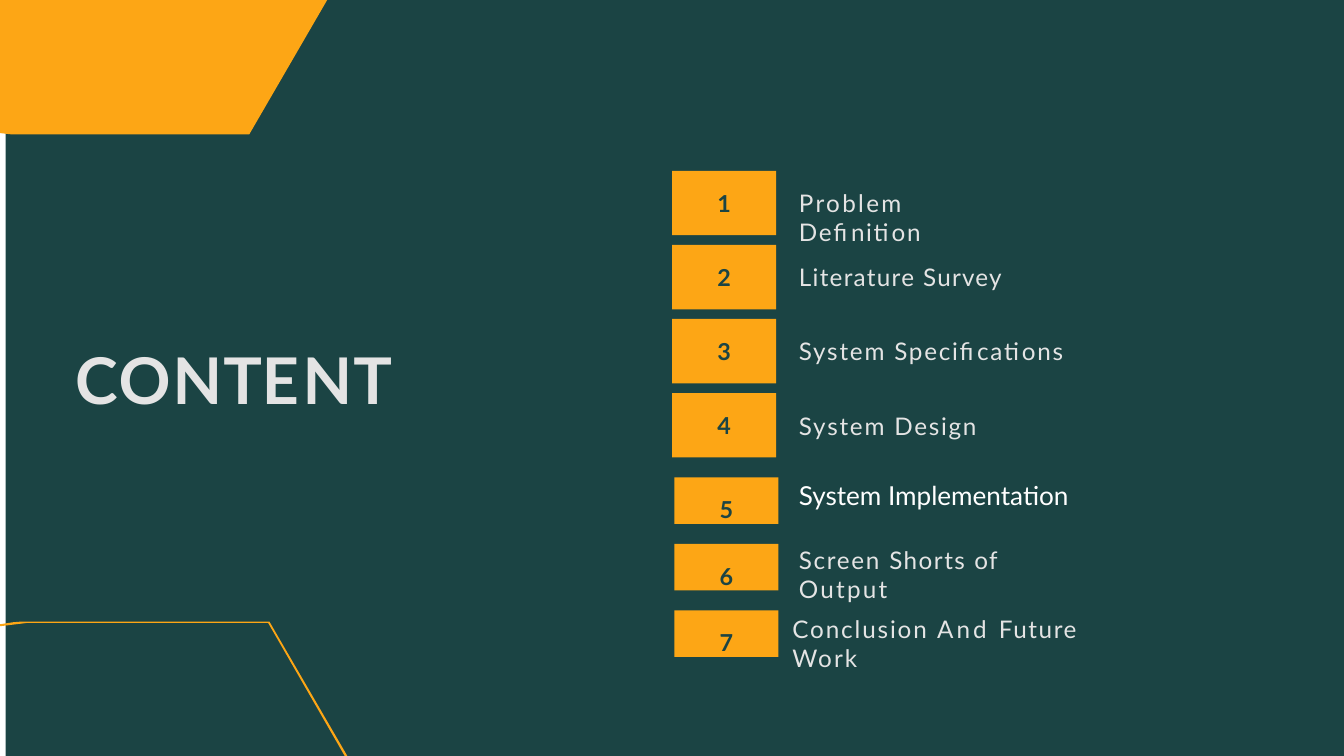
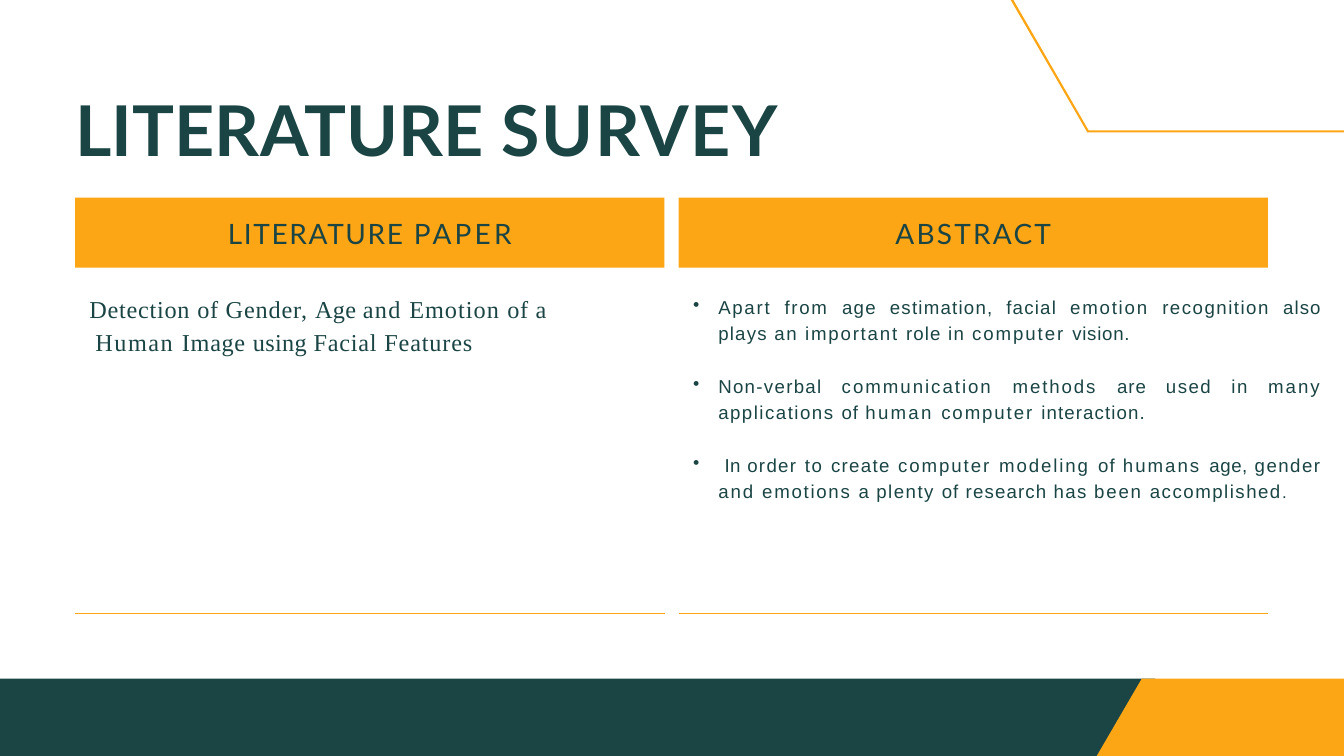
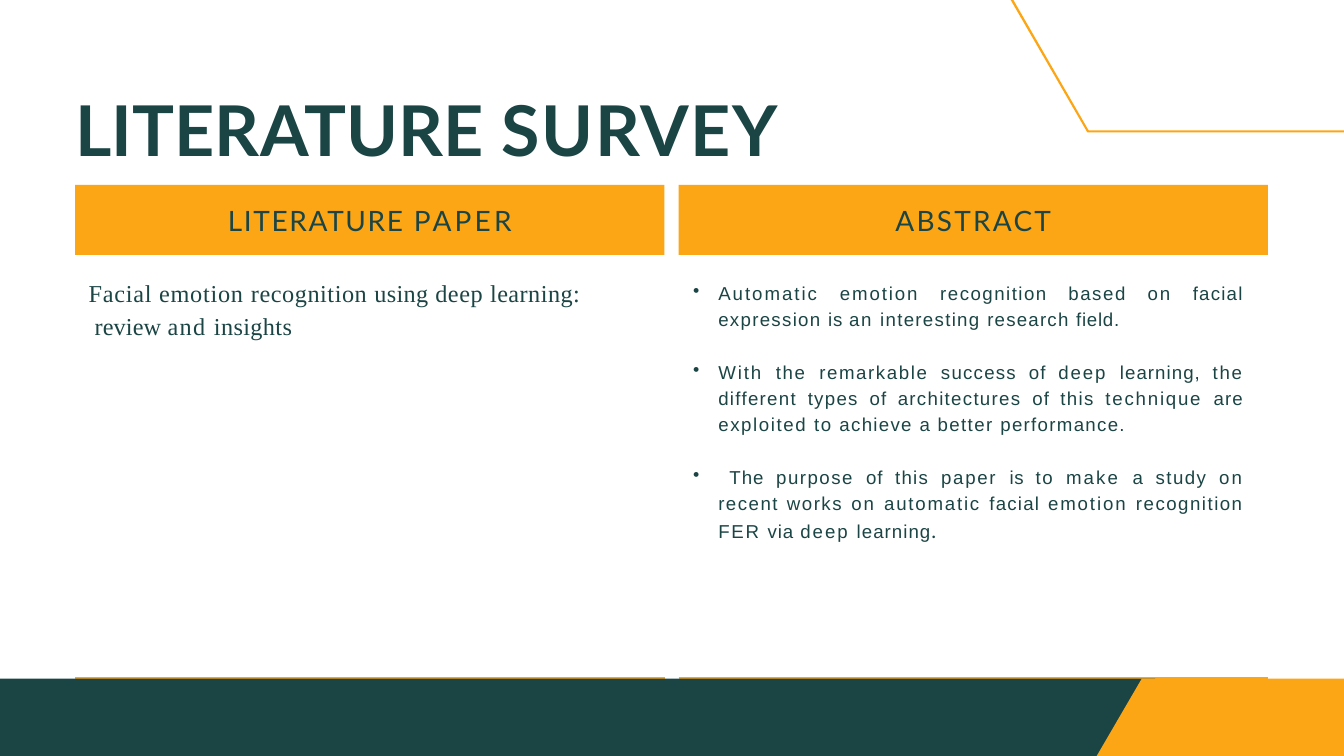
from dataclasses import dataclass
from typing import NamedTuple, Optional, Sequence

from lxml.etree import SubElement
from pptx import Presentation
from pptx.dml.color import RGBColor
from pptx.enum.shapes import MSO_CONNECTOR as Connector, MSO_SHAPE as Preset
from pptx.enum.text import MSO_ANCHOR as Anchor, PP_ALIGN as Align
from pptx.oxml.ns import qn
from pptx.util import Pt

GREEN = "1B4444"
ORANGE = "FDA615"
LIGHT = "E4E4E4"
WHITE = "FFFFFF"
SLIDE_WIDTH, SLIDE_HEIGHT = 1440, 810
FOOTER_TOP = 727.2
COLUMN_LEFTS = (80.6, 727.2)
COLUMN_WIDTH = 631.4

Point = tuple[float, float]


class Box(NamedTuple):
    """A rectangle in points."""

    left: float
    top: float
    width: float
    height: float


class Run(NamedTuple):
    """Text with its letter spacing and any departure from its paragraph's font."""

    text: str
    spacing: float = 0
    size: Optional[float] = None
    font: Optional[str] = None


@dataclass(frozen=True)
class TextStyle:
    """The look of a paragraph."""

    size: float
    color: str
    font: str = "Lato"
    bold: bool = False
    align: Align = Align.LEFT
    line_spacing: float = 1.0
    margin: float = 0
    indent: float = 0
    bullet: bool = False
    gap: float = 0


@dataclass(frozen=True)
class Topic:
    """A numbered line of the contents."""

    number: Run
    tile: Box
    label: Box
    runs: Sequence[Run]
    style: TextStyle


@dataclass(frozen=True)
class Survey:
    """A surveyed paper with its abstract."""

    header_top: float
    divider_top: float
    paper_box: Box
    paper: Sequence[Run]
    abstract_box: Box
    abstract: Sequence[Sequence[Run]]


TILE_STYLE = TextStyle(25, GREEN, bold=True, align=Align.CENTER)
LABEL_STYLE = TextStyle(26, LIGHT)
CONTENT_STYLE = TextStyle(69, LIGHT, bold=True)
TITLE_STYLE = TextStyle(75, GREEN, bold=True)
HEADER_STYLE = TextStyle(30, GREEN, align=Align.CENTER)
PAPER_STYLE = TextStyle(26, GREEN, "Times New Roman", line_spacing=1.15, margin=6.5, indent=-6.5)
ABSTRACT_STYLE = TextStyle(20, GREEN, "Arial", align=Align.JUSTIFY, line_spacing=1.16,
                           margin=28, indent=-27, bullet=True, gap=29)

CORNER_BLOCK = [(0, 0), (350.6, 0), (267.1, 144), (12.2, 144), (0, 142.6)]
CORNER_LINE = [(0, 668.9), (14.4, 666.7), (23, 666), (288.7, 666), (372.2, 810),
               (369.4, 810), (287.3, 667.4), (29.5, 667.4), (0, 671)]
TOP_LINE = [(1165, 141.8), (1440, 141.8), (1440, 139.7), (1166.4, 139.7),
            (1085.8, 0), (1082.9, 0)]
FOOTER_ACCENT = [(1440, 810), (1175, 810), (1223.3, FOOTER_TOP), (1440, FOOTER_TOP)]


def tall_topic(row: int, number_spacing: float, width: float, *runs: Run) -> Topic:
    """Place one of the four upper topics."""
    top = 183 + 79.4 * row
    return Topic(Run(str(row + 1), number_spacing), Box(720, top, 111.6, 69),
                 Box(856, top + 18, width, 33), runs, LABEL_STYLE)


def short_topic(row: int, number_spacing: float, label: Box, *runs: Run,
                style: TextStyle = LABEL_STYLE) -> Topic:
    """Place one of the three lower topics."""
    return Topic(Run(str(row + 5), number_spacing), Box(722.5, 511.5 + 71.3 * row, 111.6, 49.7),
                 label, runs, style)


TOPICS = [
    tall_topic(0, -5.7, 248.4, Run("Problem ", 2.5), Run("Definition", 1.8)),
    tall_topic(1, -0.9, 220, Run("Literature ", 1.4), Run("Survey", 1.3)),
    tall_topic(2, -2, 285, Run("System ", 1.9), Run("Specifications", 1.8)),
    tall_topic(3, -0.1, 193, Run("System ", 1.9), Run("Design", 1.8)),
    short_topic(0, -0.1, Box(856, 513, 390, 34), Run("System Implementation"),
                style=TextStyle(28, WHITE)),
    short_topic(1, -1.1, Box(856, 583.2, 313.2, 33), Run("Screen ", 1.8), Run("Shorts ", 1.6),
                Run("of ", 1.4), Run("Output", 2.4)),
    short_topic(2, -0.1, Box(849, 657.4, 374.4, 33), Run("Conclusion ", 2), Run("And ", 3.2),
                Run("Future ", 1.7), Run("Work", 2.2)),
]

CONTENT_TITLE = [Run("CO", 2), Run("N", 1.1), Run("T", -0.1), Run("E", 4), Run("N", 1.1),
                 Run("T", -0.1)]
SURVEY_TITLE = [Run("LITERATURE ", 0.2), Run("SURVEY", 1.9)]
HEADERS = [[Run("LITERATURE ", 1.8), Run("PAPER", 3.5)], [Run("ABSTRACT", 2.4)]]

SURVEYS = [
    Survey(
        211.7, 657.4,
        Box(95.8, 309.6, 579.6, 74),
        [Run("Detection ", 0.8), Run("of ", 0.7), Run("Gender, ", 0.9), Run("Age ", 0.3),
         Run("and ", 1.4), Run("Emotion ", 1.1), Run("of ", 0.7), Run("a ", 1.4),
         Run("Human ", 1.6), Run("Image ", 0.7), Run("using ", 0.4), Run("Facial ", 0.8),
         Run("Features", 0.9)],
        Box(741.6, 311.8, 674.6, 230),
        [
            [Run("Apart from ", 1.8), Run("age ", 1.4), Run("estimation, facial ", 1.3),
             Run("emotion ", 1.9), Run("recognition ", 1.6), Run("also ", 1.2),
             Run("plays ", 1.3), Run("an ", 1.7), Run("important ", 1.9), Run("role ", 1.2),
             Run("in ", 1.6), Run("computer ", 2), Run("vision.", 0.8)],
            [Run("Non-verbal ", 1.4), Run("communication ", 2.1), Run("methods ", 2),
             Run("are ", 1.1), Run("used in ", 1.6), Run("many ", 2.1),
             Run("applications ", 1.6), Run("of ", 1.1), Run("human ", 2.4),
             Run("computer ", 2), Run("interaction.", 1.2)],
            [Run(" In ", 0.3), Run("order ", 1.4), Run("to ", 1.6), Run("create ", 1.4),
             Run("computer modeling ", 2), Run("of ", 1.1), Run("humans ", 2.1),
             Run("age, ", 0.6), Run("gender ", 1.6), Run("and ", 2), Run("emotions ", 1.8),
             Run("a ", 1.2), Run("plenty ", 1.6), Run("of ", 1.1), Run("research ", 1.2),
             Run("has ", 1.4), Run("been ", 1.9), Run("accomplished", 1.6),
             Run(".", 1.6, 18)],
        ],
    ),
    Survey(
        198, 726.5,
        Box(95, 292.3, 528.5, 74),
        [Run("Facial emotion ", 0.8), Run("recognition ", 0.6), Run("using ", 0.4),
         Run("deep ", 0.6), Run("learning: ", 0.5), Run("review ", 0.1), Run("and ", 1.4),
         Run("insights", 0.4)],
        Box(741.6, 297.4, 591, 288),
        [
            [Run("Automatic ", 2.1), Run("emotion ", 2), Run("recognition ", 1.6),
             Run("based ", 1.7), Run("on ", 2), Run("facial ", 1.3), Run("expression ", 1.4),
             Run("is ", 0.8), Run("an ", 1.8), Run("interesting ", 1.4),
             Run("research ", 1.3), Run("field.", 0.8)],
            [Run("With ", 2), Run("the ", 1.8), Run("remarkable ", 1.7), Run("success ", 1.3),
             Run("of ", 1.1), Run("deep ", 2), Run("learning, ", 1.1), Run("the ", 1.8),
             Run("different types ", 1.4), Run("of ", 1.1), Run("architectures ", 1.4),
             Run("of ", 1.1), Run("this ", 1.4), Run("technique ", 1.9), Run("are ", 1.1),
             Run("exploited ", 1.7), Run("to ", 1.6), Run("achieve ", 1.4), Run("a ", 1.3),
             Run("better ", 1.5), Run("performance.", 1.4)],
            [Run(" The ", 1.1), Run("purpose ", 1.6), Run("of ", 1.1), Run("this ", 1.4),
             Run("paper ", 1.8), Run("is ", 0.8), Run("to ", 1.6), Run("make ", 2.2),
             Run("a ", 1.3), Run("study ", 1.5), Run("on ", 2), Run("recent works ", 1.6),
             Run("on ", 2), Run("automatic ", 1.9), Run("facial ", 1.3), Run("emotion ", 2),
             Run("recognition ", 1.6), Run("FER ", 1.8), Run("via ", 1), Run("deep ", 2),
             Run("learning", 1.1), Run(".", 1.1, 22, "Lato")],
        ],
    ),
]


def rgb(color: str) -> RGBColor:
    """Turn a hex string into a colour."""
    return RGBColor.from_string(color)


def points(box: Box) -> list[Pt]:
    """Turn a box into lengths."""
    return [Pt(length) for length in box]


def paint(shape, color: str) -> None:
    """Give a shape a plain fill without line or shadow."""
    shape.fill.solid()
    shape.fill.fore_color.rgb = rgb(color)
    shape.line.fill.background()
    shape.shadow.inherit = False


def add_rectangle(slide, box: Box, color: str):
    """Draw a plain rectangle."""
    shape = slide.shapes.add_shape(Preset.RECTANGLE, *points(box))
    paint(shape, color)
    return shape


def add_outline(slide, corners: Sequence[Point], color: str) -> None:
    """Draw a filled polygon."""
    (left, top), *others = [(Pt(x), Pt(y)) for x, y in corners]
    builder = slide.shapes.build_freeform(left, top)
    builder.add_line_segments(others, close=True)
    paint(builder.convert_to_shape(), color)


def add_divider(slide, left: float, top: float) -> None:
    """Draw the rule below a column."""
    line = slide.shapes.add_connector(Connector.STRAIGHT, Pt(left), Pt(top),
                                      Pt(left + COLUMN_WIDTH), Pt(top))
    line.line.color.rgb = rgb(ORANGE)
    line.line.width = Pt(1.5)
    SubElement(line._element.spPr, qn("a:effectLst"))


def format_paragraph(paragraph, style: TextStyle) -> None:
    """Apply a style to a paragraph."""
    paragraph.alignment = style.align
    paragraph.line_spacing = style.line_spacing
    properties = paragraph._p.get_or_add_pPr()
    properties.set("marL", str(Pt(style.margin)))
    properties.set("indent", str(Pt(style.indent)))
    if style.bullet:
        SubElement(properties, qn("a:buChar"), char="•")
    font = paragraph.font
    font.name, font.size, font.bold = style.font, Pt(style.size), style.bold
    font.color.rgb = rgb(style.color)


def write(shape, paragraphs: Sequence[Sequence[Run]], style: TextStyle,
          top_inset: float = 1) -> None:
    """Fill a shape with paragraphs of tracked runs."""
    frame = shape.text_frame
    frame.word_wrap = True
    frame.vertical_anchor = Anchor.TOP
    frame.margin_left = frame.margin_right = frame.margin_bottom = 0
    frame.margin_top = Pt(top_inset)
    for index, runs in enumerate(paragraphs):
        paragraph = frame.add_paragraph() if index else frame.paragraphs[0]
        format_paragraph(paragraph, style)
        if index:
            paragraph.space_before = Pt(style.gap)
        for item in runs:
            run = paragraph.add_run()
            run.text = item.text
            run._r.get_or_add_rPr().set("spc", str(round(item.spacing * 100)))
            if item.size:
                run.font.size = Pt(item.size)
            if item.font:
                run.font.name = item.font


def add_text(slide, box: Box, paragraphs: Sequence[Sequence[Run]], style: TextStyle) -> None:
    """Place a text box."""
    write(slide.shapes.add_textbox(*points(box)), paragraphs, style)


def add_slide(presentation):
    """Append a blank slide."""
    return presentation.slides.add_slide(presentation.slide_layouts[6])


def build_content(presentation) -> None:
    """Build the contents slide."""
    slide = add_slide(presentation)
    add_rectangle(slide, Box(6, 0, SLIDE_WIDTH - 6, SLIDE_HEIGHT), GREEN)
    add_outline(slide, CORNER_LINE, ORANGE)
    add_outline(slide, CORNER_BLOCK, ORANGE)
    add_text(slide, Box(80.6, 363, 345, 85), [CONTENT_TITLE], CONTENT_STYLE)
    for topic in TOPICS:
        tile = add_rectangle(slide, topic.tile, ORANGE)
        write(tile, [[topic.number]], TILE_STYLE, top_inset=19.4)
        add_text(slide, topic.label, [topic.runs], topic.style)


def build_survey(presentation, survey: Survey) -> None:
    """Build a literature survey slide."""
    slide = add_slide(presentation)
    for left, header in zip(COLUMN_LEFTS, HEADERS):
        band = add_rectangle(slide, Box(left, survey.header_top, COLUMN_WIDTH, 75.2), ORANGE)
        write(band, [header], HEADER_STYLE, top_inset=20)
        add_divider(slide, left, survey.divider_top)
    add_text(slide, survey.paper_box, [survey.paper], PAPER_STYLE)
    add_text(slide, survey.abstract_box, survey.abstract, ABSTRACT_STYLE)
    add_rectangle(slide, Box(0, FOOTER_TOP, 1237.7, SLIDE_HEIGHT - FOOTER_TOP), GREEN)
    add_outline(slide, FOOTER_ACCENT, ORANGE)
    add_text(slide, Box(80.6, 92.2, 817, 92), [SURVEY_TITLE], TITLE_STYLE)
    add_outline(slide, TOP_LINE, ORANGE)


def main() -> None:
    """Build and save the presentation."""
    presentation = Presentation()
    presentation.slide_width = Pt(SLIDE_WIDTH)
    presentation.slide_height = Pt(SLIDE_HEIGHT)
    build_content(presentation)
    for survey in SURVEYS:
        build_survey(presentation, survey)
    presentation.save("out.pptx")


if __name__ == "__main__":
    main()
